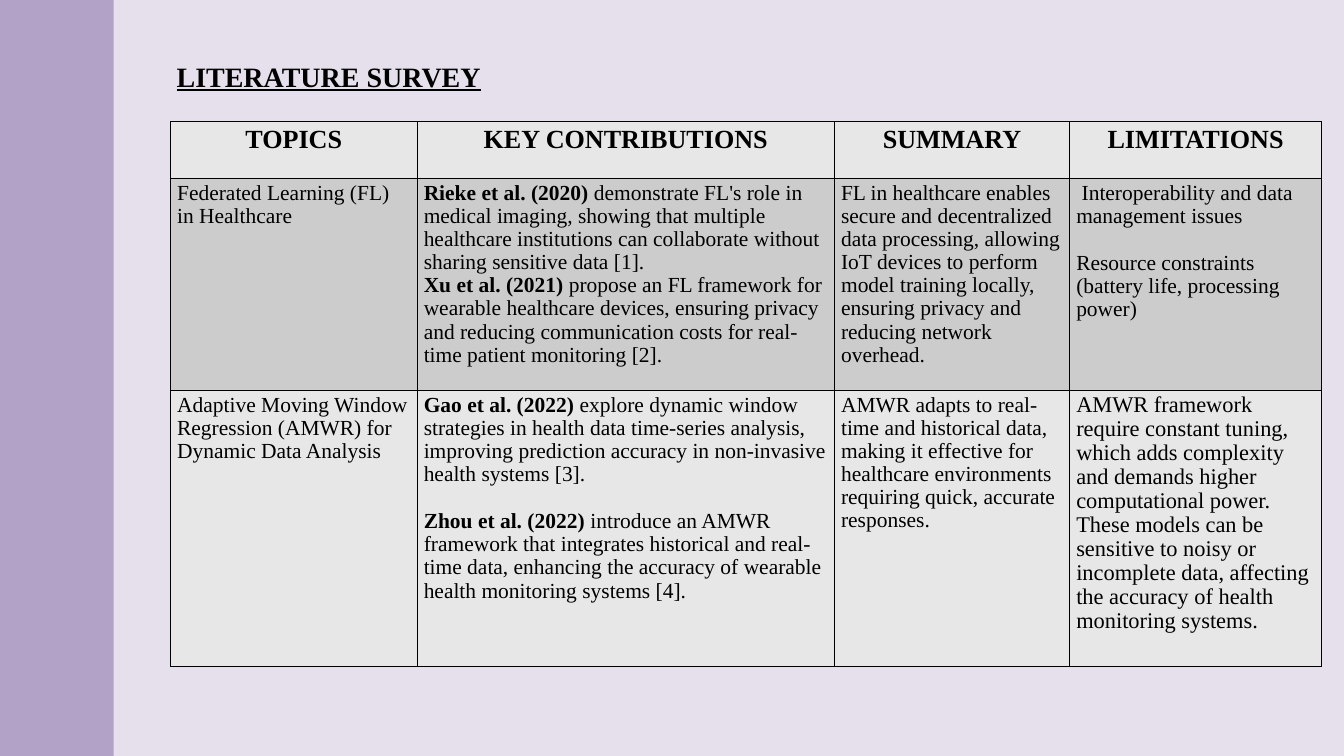
from lxml.etree import SubElement
from pptx import Presentation
from pptx.dml.color import RGBColor
from pptx.enum.shapes import MSO_SHAPE
from pptx.enum.text import PP_ALIGN
from pptx.oxml.ns import qn
from pptx.util import Pt

COLOURS = {
    "panel": "E6E0EC",
    "sidebar": "B3A2C7",
    "light_row": "E7E7E7",
    "dark_row": "CCCCCC",
    "ink": "000000",
}
FONT = "Times New Roman"
COLUMN_WIDTHS = [264.24, 447.12, 252, 270]
ROW_HEIGHTS = [60.5, 227, 295.5]
HEADINGS = ["TOPICS", "KEY CONTRIBUTIONS", "SUMMARY", "LIMITATIONS"]
SURVEY = [
    {
        "topic": "Federated Learning (FL) in Healthcare",
        "contributions": [
            ("Rieke et al. (2020)", " demonstrate FL's role in medical imaging, showing that multiple "
             "healthcare institutions can collaborate without sharing sensitive data [1]."),
            ("Xu et al. (2021)", " propose an FL framework for wearable healthcare devices, ensuring "
             "privacy and reducing communication costs for real-time patient monitoring [2]."),
        ],
        "contribution_gap": 0,
        "summary": "FL in healthcare enables secure and decentralized data processing, allowing IoT "
                   "devices to perform model training locally, ensuring privacy and reducing network overhead.",
        "limitations": [
            " Interoperability and data management issues",
            "Resource constraints (battery life, processing power)",
        ],
        "limitation_size": 23,
        "fill": "dark_row",
    },
    {
        "topic": "Adaptive Moving Window Regression (AMWR) for Dynamic Data Analysis",
        "contributions": [
            ("Gao et al. (2022)", " explore dynamic window strategies in health data time-series analysis, "
             "improving prediction accuracy in non-invasive health systems [3]."),
            ("Zhou et al. (2022)", " introduce an AMWR framework that integrates historical and real-time "
             "data, enhancing the accuracy of wearable health monitoring systems [4]."),
        ],
        "contribution_gap": 25.6,
        "summary": "AMWR adapts to real-time and historical data, making it effective for healthcare "
                   "environments requiring quick, accurate responses.",
        "limitations": [
            "AMWR framework require constant tuning, which adds complexity and demands higher "
            "computational power. These models can be sensitive to noisy or incomplete data, "
            "affecting the accuracy of health monitoring systems.",
        ],
        "limitation_size": 24,
        "fill": "light_row",
    },
]


def colour(name):
    return RGBColor.from_string(COLOURS[name])


def style_paragraph(paragraph, size, bold=None):
    paragraph.font.name = FONT
    paragraph.font.size = Pt(size)
    paragraph.font.bold = bold
    paragraph.font.color.rgb = colour("ink")


def add_band(slide, left, top, width, height, fill):
    band = slide.shapes.add_shape(MSO_SHAPE.RECTANGLE, Pt(left), Pt(top), Pt(width), Pt(height))
    band.shadow.inherit = False
    band.fill.solid()
    band.fill.fore_color.rgb = colour(fill)
    band.line.fill.background()


def add_title(slide, left, top, width, height):
    title = slide.shapes.add_textbox(Pt(left), Pt(top), Pt(width), Pt(height))
    title.text_frame.word_wrap = True
    heading = title.text_frame.paragraphs[0]
    heading.text = "LITERATURE SURVEY"
    style_paragraph(heading, 30, True)
    heading.font.underline = True


def style_cell(cell, fill):
    properties = cell._tc.get_or_add_tcPr()
    for side in ("a:lnL", "a:lnR", "a:lnT", "a:lnB"):
        border = SubElement(properties, qn(side), w=str(Pt(1)))
        ink = SubElement(border, qn("a:solidFill"))
        SubElement(ink, qn("a:srgbClr"), val=COLOURS["ink"])
    cell.fill.solid()
    cell.fill.fore_color.rgb = colour(fill)


def fill_cell(cell, entries, fill, size=23, gap=0):
    style_cell(cell, fill)
    for index, (author, finding) in enumerate(entries):
        frame = cell.text_frame
        paragraph = frame.add_paragraph() if index else frame.paragraphs[0]
        style_paragraph(paragraph, size, False)
        paragraph.line_spacing = 0.97
        if index:
            paragraph.space_before = Pt(gap)
        if author:
            lead = paragraph.add_run()
            lead.text = author
            lead.font.bold = True
        paragraph.add_run().text = finding


def add_survey_table(slide, left, top):
    table = slide.shapes.add_table(
        len(ROW_HEIGHTS), len(COLUMN_WIDTHS), Pt(left), Pt(top),
        Pt(sum(COLUMN_WIDTHS)), Pt(sum(ROW_HEIGHTS)),
    ).table
    for column, width in zip(table.columns, COLUMN_WIDTHS):
        column.width = Pt(width)
    for row, height in zip(table.rows, ROW_HEIGHTS):
        row.height = Pt(height)

    for cell, heading in zip(table.rows[0].cells, HEADINGS):
        style_cell(cell, "light_row")
        paragraph = cell.text_frame.paragraphs[0]
        paragraph.text = heading
        paragraph.alignment = PP_ALIGN.CENTER
        style_paragraph(paragraph, 28, True)

    for row, study in enumerate(SURVEY, start=1):
        topic, contributions, summary, limitations = table.rows[row].cells
        fill = study["fill"]
        fill_cell(topic, [("", study["topic"])], fill)
        fill_cell(contributions, study["contributions"], fill, gap=study["contribution_gap"])
        fill_cell(summary, [("", study["summary"])], fill)
        fill_cell(limitations, [("", text) for text in study["limitations"]], fill,
                  study["limitation_size"], 25.6)


def main():
    presentation = Presentation()
    presentation.slide_width = Pt(1440)
    presentation.slide_height = Pt(810)
    slide = presentation.slides.add_slide(presentation.slide_layouts[6])
    add_band(slide, 78.5, 0, 1361.5, 810, "panel")
    add_band(slide, 0, 0, 121.7, 810, "sidebar")
    add_survey_table(slide, 182.6, 130.6)
    add_title(slide, 182.2, 59.8, 820, 44)
    presentation.save("out.pptx")


if __name__ == "__main__":
    main()
